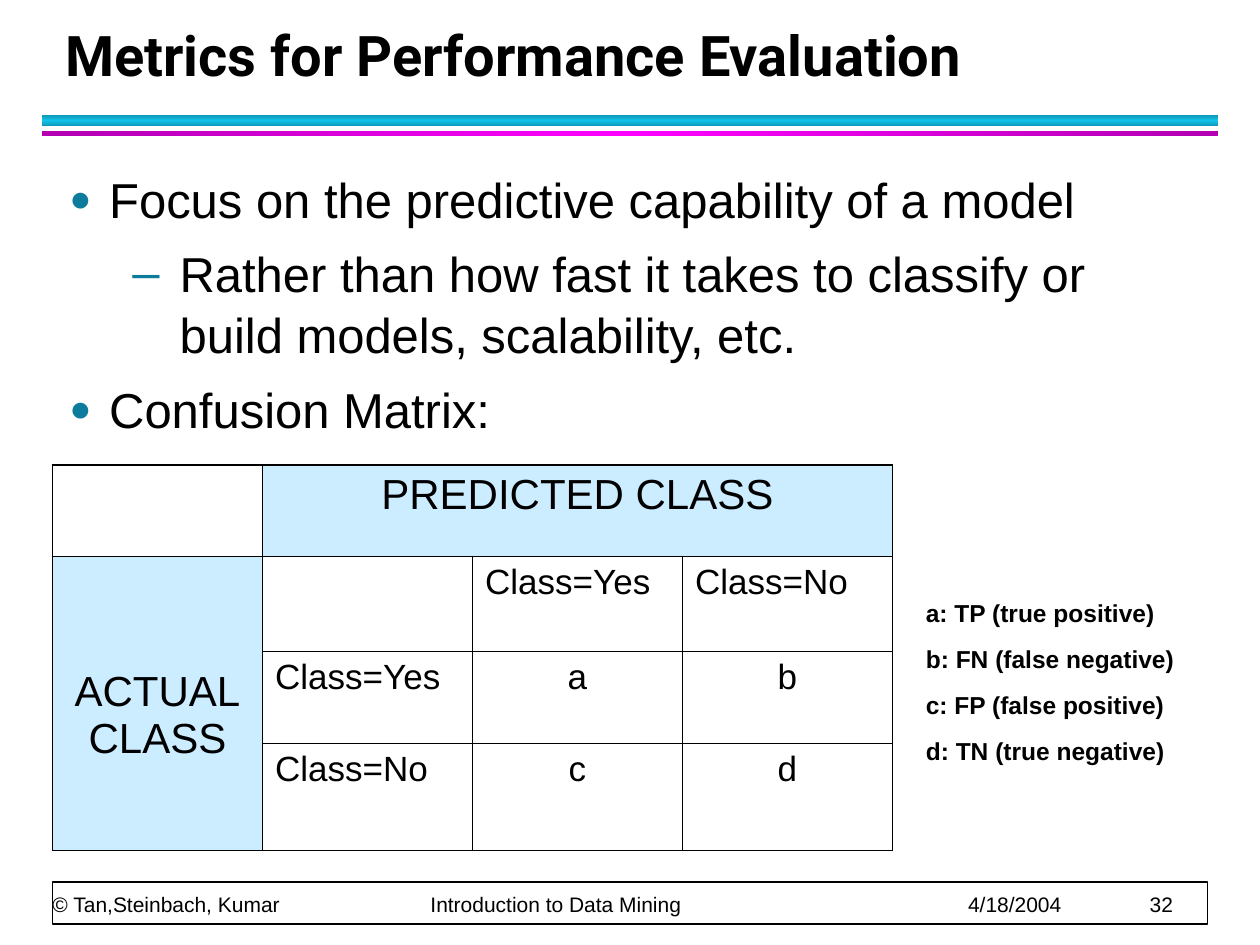
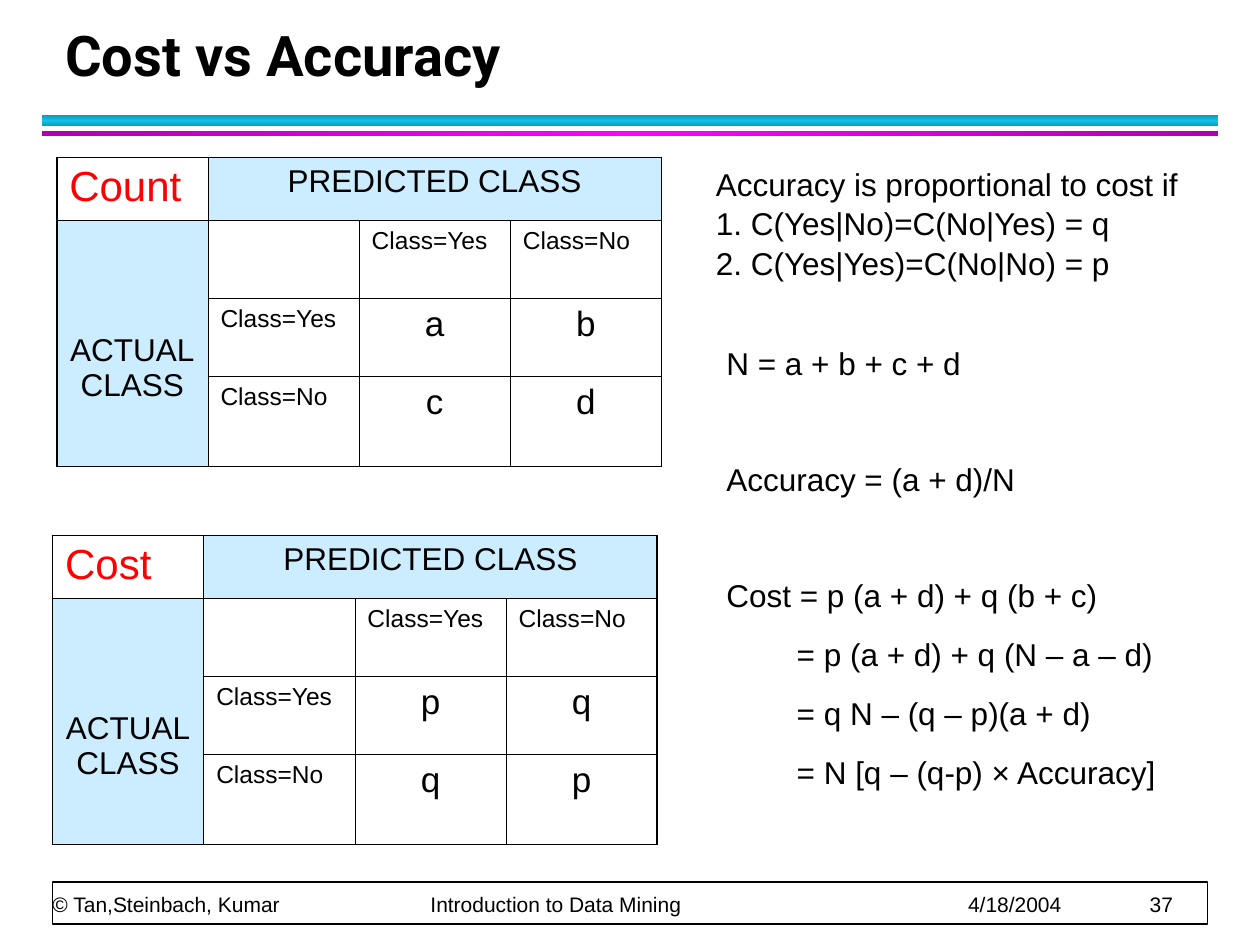
from dataclasses import dataclass
from typing import NamedTuple

from lxml import etree
from pptx import Presentation
from pptx import util as u
from pptx.dml.color import RGBColor
from pptx.enum import shapes, text
from pptx.oxml import parse_xml
from pptx.oxml.ns import qn

# Grid: 120 columns by 90 rows on a 10 x 7.5 inch slide
WIDTH, HEIGHT = u.Inches(10), u.Inches(7.5)
CELL = WIDTH / 120

BLACK, WHITE, RED = "000000", "FFFFFF", "FF0000"
HEADER_FILL, BULLET = "CCECFF", "0C7B9C"
BODY_FONT, TITLE_FONT = "Arial", "Roboto"
LINE_SPACING = 1.04
LEFT, CENTER = text.PP_ALIGN.LEFT, text.PP_ALIGN.CENTER
DRAWING_NS = "http://schemas.openxmlformats.org/drawingml/2006/main"


class Box(NamedTuple):
    col: float
    row: float
    cols: float
    rows: float


class Band(NamedTuple):
    box: Box
    edge: str
    middle: str
    angle: int


class Line(NamedTuple):
    text: str
    before: float = 0
    indent: float = 0
    hanging: float = 0
    level: int = 0
    bullet: str = ""
    bullet_size: int = 100
    after: float = 0


@dataclass
class Matrix:
    col: float
    row: float
    col_width: float
    row_heights: list[float]
    values: list[str]
    header_size: int
    label_size: int
    corner: str = ""


BANDS = [
    Band(Box(4, 11, 112, 1), "0E9BBA", "12C2E9", 90),
    Band(Box(4, 12.5, 112, 0.5), "B200B2", "FF00FF", 0),
]
TITLE_BOX = Box(5, 2, 108.7, 7)
FOOTER_FRAME = Box(5, 84, 110, 4)
FOOTER_TEXT = Box(5, 80.65, 110, 6.7)
FOOTER_PARTS = ["© Tan,Steinbach, Kumar", "Introduction to Data Mining", "4/18/2004"]
FOOTER_TABS = [36, 87.2, 104.5]


# Helpers
def grid(cells: float) -> u.Emu:
    return u.Emu(round(cells * CELL))


def color(value: str) -> RGBColor:
    return RGBColor.from_string(value)


def place(s, box: Box) -> None:
    for name, value in zip(("left", "top", "width", "height"), box):
        setattr(s, name, grid(value))


def assign(target, values: dict) -> None:
    for name, value in values.items():
        setattr(target, name, value)


def style_runs(p, size: float, ink: str = BLACK, bold: bool = False, name: str = BODY_FONT) -> None:
    for r in p.runs:
        assign(r.font, {"size": u.Pt(size), "bold": bold, "name": name})
        r.font.color.rgb = color(ink)


def add_rect(slide, box: Box):
    s = slide.shapes.add_shape(shapes.MSO_SHAPE.RECTANGLE, *map(grid, box))
    s.shadow.inherit = False
    return s


def add_bullet(pPr, line: Line) -> None:
    tint = etree.SubElement(pPr, qn("a:buClr"))
    etree.SubElement(tint, qn("a:srgbClr"), val=BULLET)
    etree.SubElement(pPr, qn("a:buSzPct"), val=str(line.bullet_size * 1000))
    etree.SubElement(pPr, qn("a:buFont"), typeface=BODY_FONT)
    etree.SubElement(pPr, qn("a:buChar"), char=line.bullet)


def write_lines(tf, lines: list[Line], size: float, bold: bool = False) -> None:
    assign(tf, {"word_wrap": True, "auto_size": text.MSO_AUTO_SIZE.NONE})
    for i, line in enumerate(lines):
        p = tf.paragraphs[0] if i == 0 else tf.add_paragraph()
        p.text = line.text
        assign(p, {
            "level": line.level,
            "line_spacing": LINE_SPACING,
            "space_before": u.Pt(line.before),
            "space_after": u.Pt(line.after),
        })
        pPr = p._p.get_or_add_pPr()
        pPr.set("marL", str(grid(line.indent)))
        pPr.set("indent", str(grid(-line.hanging)))
        if line.bullet:
            add_bullet(pPr, line)
        style_runs(p, size, bold=bold)


def add_text(slide, box: Box, lines: list[Line], size: float, bold: bool = False) -> None:
    s = slide.shapes.add_textbox(*map(grid, box))
    write_lines(s.text_frame, lines, size, bold)


# Shared slide parts
def add_band(slide, band: Band) -> None:
    s = add_rect(slide, band.box)
    s.line.fill.background()
    stops = "".join(
        f'<a:gs pos="{pos}"><a:srgbClr val="{tint}"/></a:gs>'
        for pos, tint in ((0, band.edge), (50000, band.middle), (100000, band.edge))
    )
    gradient = parse_xml(
        f'<a:gradFill xmlns:a="{DRAWING_NS}"><a:gsLst>{stops}</a:gsLst>'
        f'<a:lin ang="{band.angle * 60000}" scaled="0"/></a:gradFill>'
    )
    s._element.spPr.find(qn("a:prstGeom")).addnext(gradient)


def add_footer(slide, number: int) -> None:
    frame = add_rect(slide, FOOTER_FRAME)
    frame.fill.solid()
    frame.fill.fore_color.rgb = color(WHITE)
    frame.line.color.rgb = color(BLACK)
    frame.line.width = u.Pt(1)

    tf = slide.shapes.add_textbox(*map(grid, FOOTER_TEXT)).text_frame
    assign(tf, dict.fromkeys(("margin_left", "margin_top", "margin_right", "margin_bottom"), 0))
    assign(tf, {"word_wrap": True, "vertical_anchor": text.MSO_ANCHOR.BOTTOM})
    p = tf.paragraphs[0]
    p.text = "\t".join([*FOOTER_PARTS, str(number)])
    p.line_spacing = u.Pt(20)
    tabs = etree.SubElement(p._p.get_or_add_pPr(), qn("a:tabLst"))
    for stop in FOOTER_TABS:
        etree.SubElement(tabs, qn("a:tab"), pos=str(grid(stop)), algn="l")
    style_runs(p, 12)


def add_slide(prs, layout: int, title: str, number: int):
    slide = prs.slides.add_slide(prs.slide_layouts[layout])
    for band in BANDS:
        add_band(slide, band)
    add_footer(slide, number)
    s = slide.shapes.title
    place(s, TITLE_BOX)
    tf = s.text_frame
    tf.text = title
    assign(tf, {
        "word_wrap": True,
        "auto_size": text.MSO_AUTO_SIZE.NONE,
        "vertical_anchor": text.MSO_ANCHOR.BOTTOM,
    })
    p = tf.paragraphs[0]
    assign(p, {"alignment": LEFT, "line_spacing": u.Pt(36)})
    style_runs(p, 32, bold=True, name=TITLE_FONT)
    return slide


# Confusion and cost matrices
def set_borders(cell, outer: dict[str, bool]) -> None:
    tcPr = cell._tc.get_or_add_tcPr()
    for side, is_outer in outer.items():
        ln = etree.SubElement(tcPr, qn(f"a:ln{side}"), w=str(u.Pt(1.08 if is_outer else 0.45)))
        fill = etree.SubElement(ln, qn("a:solidFill"))
        etree.SubElement(fill, qn("a:srgbClr"), val=BLACK)


def write_cell(cell, words: str, size: float, align=LEFT, ink: str = BLACK) -> None:
    p = cell.text_frame.paragraphs[0]
    p.text = words
    p.alignment = align
    style_runs(p, size, ink)


def add_matrix(slide, m: Matrix) -> None:
    box = Box(m.col, m.row, 4 * m.col_width, sum(m.row_heights))
    table = slide.shapes.add_table(4, 4, *map(grid, box)).table
    assign(table, {"first_row": False, "horz_banding": False})
    for column in table.columns:
        column.width = grid(m.col_width)
    for row, height in zip(table.rows, m.row_heights):
        row.height = grid(height)
    predicted, actual = table.cell(0, 1), table.cell(1, 0)
    predicted.merge(table.cell(0, 3))
    actual.merge(table.cell(3, 0))

    for r in range(4):
        for c in range(4):
            cell = table.cell(r, c)
            set_borders(cell, {
                "L": c == 0,
                "R": c + cell.span_width == 4,
                "T": r == 0,
                "B": r + cell.span_height == 4,
            })
            if r and c:
                cell.fill.background()
            elif r or c:
                cell.fill.solid()
                cell.fill.fore_color.rgb = color(HEADER_FILL)
            else:
                cell.fill.background()

    if m.corner:
        write_cell(table.cell(0, 0), m.corner, 24, ink=RED)
    write_cell(predicted, "PREDICTED CLASS", m.header_size, CENTER)
    write_cell(actual, "ACTUAL\vCLASS", m.header_size, CENTER)
    actual.margin_top = grid(10.7)
    for i, label in enumerate(("Class=Yes", "Class=No"), start=2):
        write_cell(table.cell(1, i), label, m.label_size)
        write_cell(table.cell(i, 1), label, m.label_size)
    for i, value in enumerate(m.values):
        write_cell(table.cell(2 + i // 2, 2 + i % 2), value, 20, CENTER)


# Slides
def build_metrics(prs) -> None:
    slide = add_slide(prs, 1, "Metrics for Performance Evaluation", 32)
    body = slide.placeholders[1]
    place(body, Box(5.4, 15.3, 109.2, 22))
    point = Line("", 3.5, 3.8, 3.8, 0, "●", 75, 4)
    write_lines(body.text_frame, [
        point._replace(text="Focus on the predictive capability of a model", before=0),
        Line("Rather than how fast it takes to classify or build models, scalability, etc.",
             3.5, 10.5, 4.5, 1, "–", 100, 4),
        point._replace(text="Confusion Matrix:"),
    ], 28)
    add_matrix(slide, Matrix(5, 44.3, 20, [8.67, 9.05, 8.8, 10.2], list("abcd"), 24, 20))
    legend = ["a: TP (true positive)", "b: FN (false negative)",
              "c: FP (false positive)", "d: TN (true negative)"]
    add_text(slide, Box(87, 56.3, 29, 16.8),
             [Line(words, 8.8 if i else 0) for i, words in enumerate(legend)], 14, bold=True)


def build_cost(prs) -> None:
    slide = add_slide(prs, 5, "Cost vs Accuracy", 37)
    rows = [6, 7.43, 7.43, 8.57]
    add_matrix(slide, Matrix(5.4, 15, 14.4, rows, list("abcd"), 18, 14, "Count"))
    add_matrix(slide, Matrix(5, 51, 14.4, rows, list("pqqp"), 18, 14, "Cost"))
    near, far, step = 11.2, 44, 6.7
    add_text(slide, Box(68, 32, 47, 48.6), [
        Line("N = a + b + c + d"),
        Line("Accuracy = (a + d)/N", far),
        Line("Cost = p (a + d) + q (b + c)", far),
        Line("= p (a + d) + q (N – a – d)", near, step),
        Line("= q N – (q – p)(a + d)", near, step),
        Line("= N [q – (q-p) × Accuracy]", near, step),
    ], 18)
    add_text(slide, Box(67, 15, 49, 12), [
        Line("Accuracy is proportional to cost if"),
        Line("1. C(Yes|No)=C(No|Yes) = q"),
        Line("2. C(Yes|Yes)=C(No|No) = p"),
    ], 18)


def main() -> None:
    prs = Presentation()
    assign(prs, {"slide_width": WIDTH, "slide_height": HEIGHT})
    build_metrics(prs)
    build_cost(prs)
    prs.save("out.pptx")


if __name__ == "__main__":
    main()
